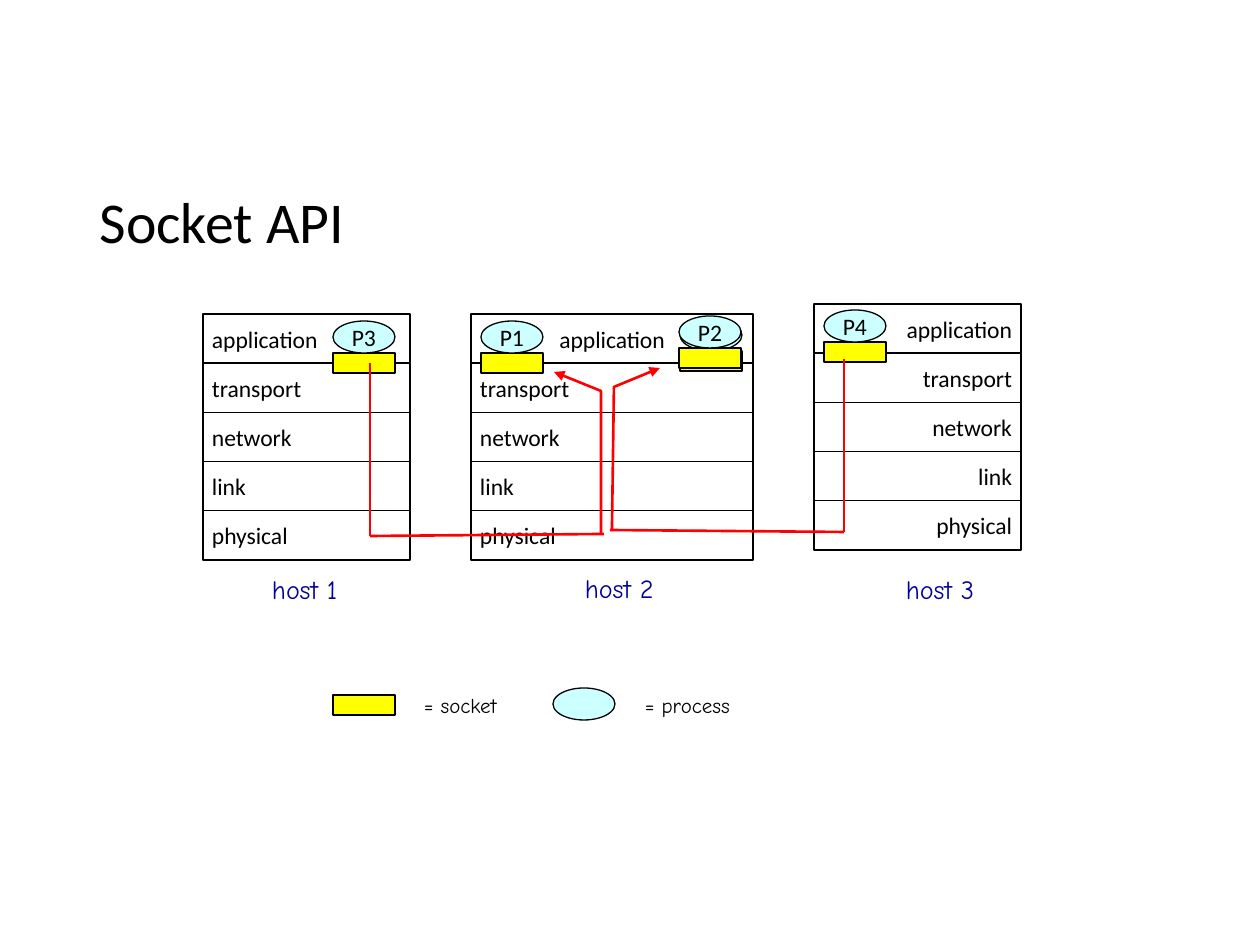
"""Build the Socket API slide: three host stacks, their sockets and two routes."""
from dataclasses import dataclass

from lxml import etree
from pptx import Presentation
from pptx.dml.color import RGBColor
from pptx.enum.shapes import MSO_CONNECTOR, MSO_SHAPE
from pptx.enum.text import MSO_ANCHOR, MSO_AUTO_SIZE, PP_ALIGN
from pptx.oxml.ns import qn
from pptx.util import Emu, Pt

SCALE = 914400 / 126
BLACK = RGBColor(0x00, 0x00, 0x00)
WHITE = RGBColor(0xFF, 0xFF, 0xFF)
YELLOW = RGBColor(0xFF, 0xFF, 0x00)
CYAN = RGBColor(0xCC, 0xFF, 0xFF)
RED = RGBColor(0xFF, 0x00, 0x00)
NAVY = RGBColor(0x00, 0x00, 0x99)
BODY_FONT = "Calibri"
LABEL_FONT = "Comic Neue"
RECTANGLE, OVAL = MSO_SHAPE.RECTANGLE, MSO_SHAPE.OVAL
STRAIGHT = MSO_CONNECTOR.STRAIGHT
LEFT, CENTER, RIGHT = PP_ALIGN.LEFT, PP_ALIGN.CENTER, PP_ALIGN.RIGHT
MIDDLE = MSO_ANCHOR.MIDDLE
FIT_TEXT = MSO_AUTO_SIZE.SHAPE_TO_FIT_TEXT

LAYERS = ("application", "transport", "network", "link", "physical")
STACK_HEIGHT = 246
PROCESS_WIDTH, PROCESS_HEIGHT, SOCKET_HEIGHT = 62, 32, 20

Point = tuple[int, int]


@dataclass(frozen=True)
class Stack:
    left: int
    top: int
    width: int
    align: PP_ALIGN
    first_align: PP_ALIGN


@dataclass(frozen=True)
class Process:
    left: int
    top: int
    name: str


@dataclass(frozen=True)
class Label:
    left: int
    top: int
    width: int
    height: int
    text: str
    size: int
    color: RGBColor


@dataclass(frozen=True)
class Route:
    drop: tuple[Point, Point]
    elbow: tuple[Point, Point, Point]
    base: tuple[Point, Point]


HOST_1 = Stack(203, 314, 207, LEFT, LEFT)
HOST_2 = Stack(471, 314, 282, LEFT, CENTER)
HOST_3 = Stack(814, 304, 207, RIGHT, RIGHT)
BACK_PROCESSES = (Process(680, 319, ""), Process(333, 321, "P3"), Process(481, 321, "P1"))
FRONT_PROCESSES = (Process(679, 316, "P2"), Process(824, 310, "P4"))
LABELS = (
    Label(263, 568, 93, 42, "host 1", 15, NAVY),
    Label(576, 567, 97, 42, "host 2", 15, NAVY),
    Label(897, 568, 97, 42, "host 3", 15, NAVY),
    Label(415, 688, 101, 35, "= socket", 12, BLACK),
    Label(636, 688, 112, 35, "= process", 12, BLACK),
)
LEFT_ROUTE = Route(
    ((370, 363), (370, 536)), ((601, 534), (601, 391), (554, 372)), ((370, 536), (604, 534))
)
RIGHT_ROUTE = Route(
    ((844, 359), (844, 532)), ((612, 530), (614, 387), (660, 368)), ((844, 532), (610, 530))
)


def px(value: float) -> Emu:
    """Turn pixels into EMU."""
    return Emu(round(value * SCALE))


def set_text(frame, text: str, font: str, size: float, color: RGBColor, align: PP_ALIGN) -> None:
    """Write one formatted paragraph into a text frame."""
    frame.margin_left = frame.margin_right = px(9)
    frame.margin_top = frame.margin_bottom = px(5)
    frame.word_wrap = False
    frame.text = text
    para = frame.paragraphs[0]
    para.alignment = align
    para.font.name, para.font.size, para.font.color.rgb = font, Pt(size), color


def add_box(slide, kind: MSO_SHAPE, left: float, top: float, width: float, height: float,
            fill: RGBColor, text: str = "", align: PP_ALIGN = CENTER) -> None:
    """Draw an outlined shape with optional text."""
    box = slide.shapes.add_shape(kind, px(left), px(top), px(width), px(height))
    box.shadow.inherit = False
    box.fill.solid()
    box.fill.fore_color.rgb = fill
    box.line.color.rgb = BLACK
    box.line.width = Pt(0.75)
    if text:
        box.text_frame.vertical_anchor = MIDDLE
        set_text(box.text_frame, text, BODY_FONT, 13.5, BLACK, align)
        box.text_frame.word_wrap = kind == RECTANGLE


def add_stack(slide, stack: Stack) -> None:
    """Draw the five protocol layers of a host."""
    height = STACK_HEIGHT / len(LAYERS)
    for index, layer in enumerate(LAYERS):
        align = stack.align if index else stack.first_align
        add_box(slide, RECTANGLE, stack.left, stack.top + index * height,
                stack.width, height, WHITE, layer, align)


def add_socket(slide, left: int, top: int) -> None:
    """Draw a socket."""
    add_box(slide, RECTANGLE, left, top, PROCESS_WIDTH, SOCKET_HEIGHT, YELLOW)


def add_process(slide, left: int, top: int, name: str = "") -> None:
    """Draw a process."""
    add_box(slide, OVAL, left, top, PROCESS_WIDTH, PROCESS_HEIGHT, CYAN, name)


def add_endpoint(slide, process: Process) -> None:
    """Draw a process standing on its socket."""
    add_socket(slide, process.left, process.top + PROCESS_HEIGHT)
    add_process(slide, process.left, process.top, process.name)


def add_label(slide, label: Label) -> None:
    """Draw a handwritten-style label."""
    box = slide.shapes.add_textbox(px(label.left), px(label.top), px(label.width), px(label.height))
    set_text(box.text_frame, label.text, LABEL_FONT, label.size, label.color, LEFT)
    box.text_frame.auto_size = FIT_TEXT


def add_segment(shapes, start: Point, end: Point) -> None:
    """Draw a straight red segment."""
    segment = shapes.add_connector(STRAIGHT, *map(px, start + end))
    segment.line.color.rgb = RED
    segment.line.width = Pt(1.5)
    etree.SubElement(segment.element.spPr, qn("a:effectLst"))


def add_route(slide, route: Route) -> None:
    """Draw a grouped route ending in an arrow."""
    shapes = slide.shapes.add_group_shape().shapes
    add_segment(shapes, *route.drop)
    start, *rest = [tuple(map(px, point)) for point in route.elbow]
    builder = shapes.build_freeform(*start)
    builder.add_line_segments(rest, close=False)
    elbow = builder.convert_to_shape()
    elbow.shadow.inherit = False
    elbow.fill.background()
    elbow.line.color.rgb = RED
    elbow.line.width = Pt(1.5)
    outline = elbow.element.spPr.find(qn("a:ln"))
    etree.SubElement(outline, qn("a:tailEnd"), type="triangle")
    add_segment(shapes, *route.base)


def add_title(slide, text: str) -> None:
    """Place and format the title."""
    title = slide.shapes.title
    title.left, title.top, title.width, title.height = map(px, (87, 156, 1086, 137))
    title.text_frame.text = text
    title.text_frame.vertical_anchor = MIDDLE
    para = title.text_frame.paragraphs[0]
    para.alignment, para.line_spacing = LEFT, 0.9
    para.font.name, para.font.size, para.font.color.rgb = BODY_FONT, Pt(33), BLACK


def main() -> None:
    """Build and save the deck."""
    deck = Presentation()
    deck.slide_width, deck.slide_height = px(1260), px(945)
    slide = deck.slides.add_slide(deck.slide_layouts[5])
    add_title(slide, "Socket API")
    add_stack(slide, HOST_1)
    add_stack(slide, HOST_2)
    for process in BACK_PROCESSES:
        add_endpoint(slide, process)
    add_route(slide, LEFT_ROUTE)
    add_socket(slide, 333, 695)
    add_process(slide, 553, 688)
    add_stack(slide, HOST_3)
    for process in FRONT_PROCESSES:
        add_endpoint(slide, process)
    add_route(slide, RIGHT_ROUTE)
    for label in LABELS:
        add_label(slide, label)
    deck.save("out.pptx")


if __name__ == "__main__":
    main()
